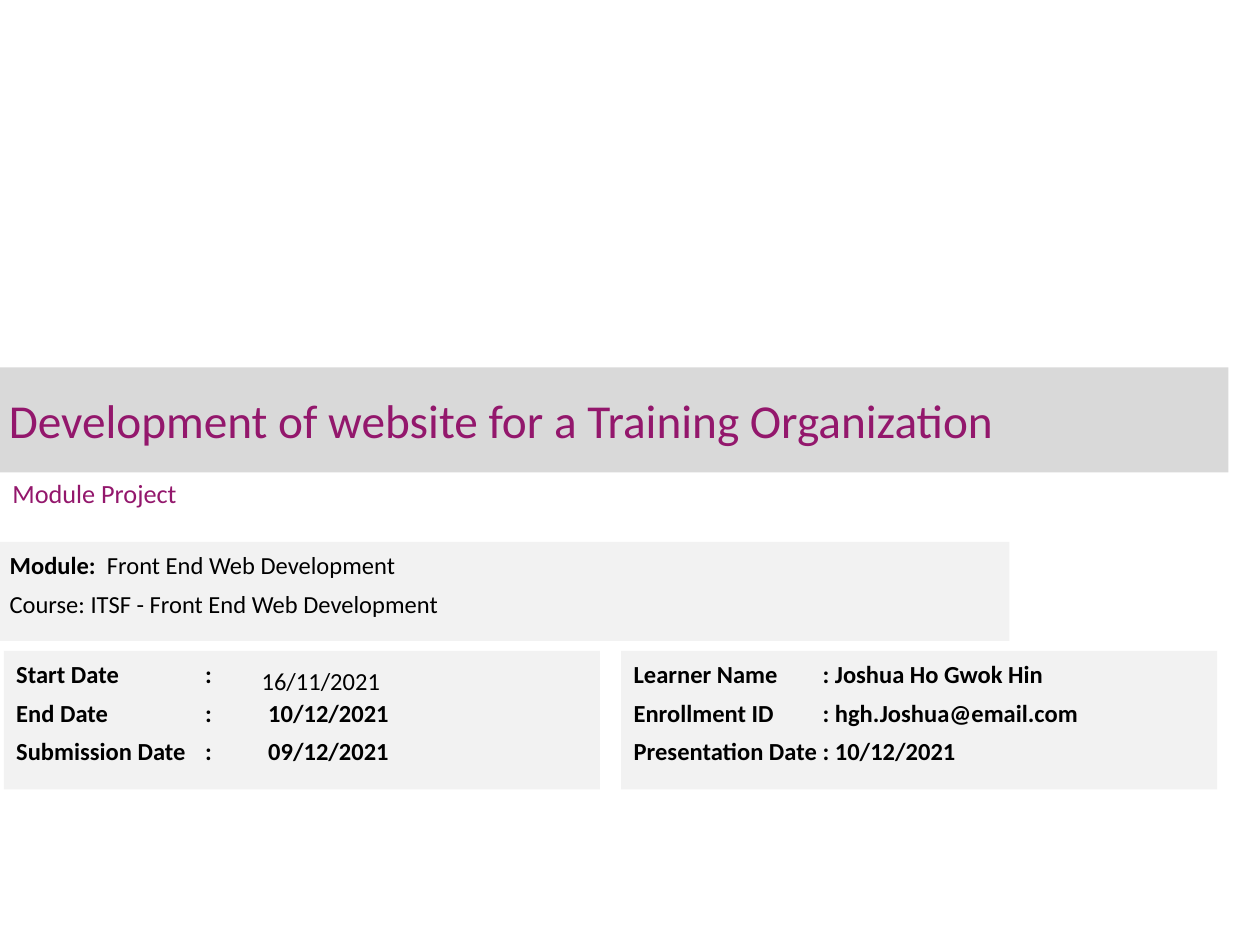
"""Build the cover slide of a web development module project."""
from lxml import etree
from pptx import Presentation
from pptx.dml.color import RGBColor
from pptx.enum import shapes, text
from pptx.oxml import ns
from pptx.util import Pt

PURPLE, BLACK, TITLE_GREY, PANEL_GREY = "93176C", "000000", "D9D9D9", "F2F2F2"

TITLE = "Development of website for a Training Organization"
SUBTITLE = "Module Project"
COURSE = [
    [("Module: ", True), (" Front End Web Development", False)],
    [("Course: ITSF - Front End Web Development", False)],
]
START_DATE = [[("16/11/2021", False)]]
DATES = [
    [("Start Date\t:", True)],
    [("End Date\t:\t10/12/2021", True)],
    [("Submission Date\t:\t09/12/2021", True)],
]
LEARNER = [
    [("Learner Name\t: Joshua Ho Gwok Hin", True)],
    [("Enrollment ID\t: hgh.Joshua@email.com", True)],
    [("Presentation Date\t: 10/12/2021", True)],
]
DETAIL_PANELS = [DATES, LEARNER]
DETAIL_LEFT, DETAIL_TOP, DETAIL_WIDTH, DETAIL_HEIGHT, DETAIL_GAP = 2.2, 372, 340.6, 79.2, 12.2
DETAIL_TABS = (108, 144)


def color(value):
    return RGBColor.from_string(value)


def add_tabs(paragraph, stops):
    properties = paragraph._p.get_or_add_pPr()
    tab_list = etree.SubElement(properties, ns.qn("a:tabLst"))
    for stop in stops:
        etree.SubElement(tab_list, ns.qn("a:tab"), pos=str(Pt(stop)), algn="l")


def add_text(slide, lines, box, fill=None, size=14, font_color=BLACK, tabs=(),
             spacing=None, anchor=text.MSO_ANCHOR.TOP, insets=(7.2, 3.6)):
    position = [Pt(length) for length in box]
    if fill:
        shape = slide.shapes.add_shape(shapes.MSO_SHAPE.RECTANGLE, *position)
        shape.shadow.inherit = False
        shape.fill.solid()
        shape.fill.fore_color.rgb = color(fill)
        shape.line.fill.background()
    else:
        shape = slide.shapes.add_textbox(*position)
    frame = shape.text_frame
    frame.word_wrap = True
    frame.vertical_anchor = anchor
    frame.margin_left = frame.margin_right = Pt(insets[0])
    frame.margin_top = frame.margin_bottom = Pt(insets[1])
    for index, runs in enumerate(lines):
        paragraph = frame.add_paragraph() if index else frame.paragraphs[0]
        paragraph.alignment = text.PP_ALIGN.LEFT
        if spacing:
            paragraph.line_spacing = Pt(spacing)
            paragraph.space_before = Pt(2 if index else 0)
            paragraph.space_after = Pt(2)
        if tabs:
            add_tabs(paragraph, tabs)
        for words, bold in runs:
            run = paragraph.add_run()
            run.text = words
            run.font.name = "Calibri"
            run.font.size = Pt(size)
            run.font.bold = bold
            run.font.color.rgb = color(font_color)
    return shape


def main():
    presentation = Presentation()
    presentation.slide_width, presentation.slide_height = Pt(720), Pt(540)
    slide = presentation.slides.add_slide(presentation.slide_layouts[6])

    middle = text.MSO_ANCHOR.MIDDLE
    add_text(slide, [[(TITLE, False)]], (0, 210, 702, 60), fill=TITLE_GREY, size=27,
             font_color=PURPLE, anchor=middle, insets=(5.04, 2.88))
    add_text(slide, [[(SUBTITLE, False)]], (0, 259.2, 462, 44.6), size=15,
             font_color=PURPLE, anchor=middle)
    add_text(slide, COURSE, (-1.6, 309.6, 578.4, 56.6), fill=PANEL_GREY, spacing=18)
    for index, lines in enumerate(DETAIL_PANELS):
        left = DETAIL_LEFT + index * (DETAIL_WIDTH + DETAIL_GAP)
        add_text(slide, lines, (left, DETAIL_TOP, DETAIL_WIDTH, DETAIL_HEIGHT),
                 fill=PANEL_GREY, spacing=18, tabs=DETAIL_TABS)
    add_text(slide, START_DATE, (142.4, 375.6, 110, 25.2), spacing=18)

    presentation.save("out.pptx")


if __name__ == "__main__":
    main()
